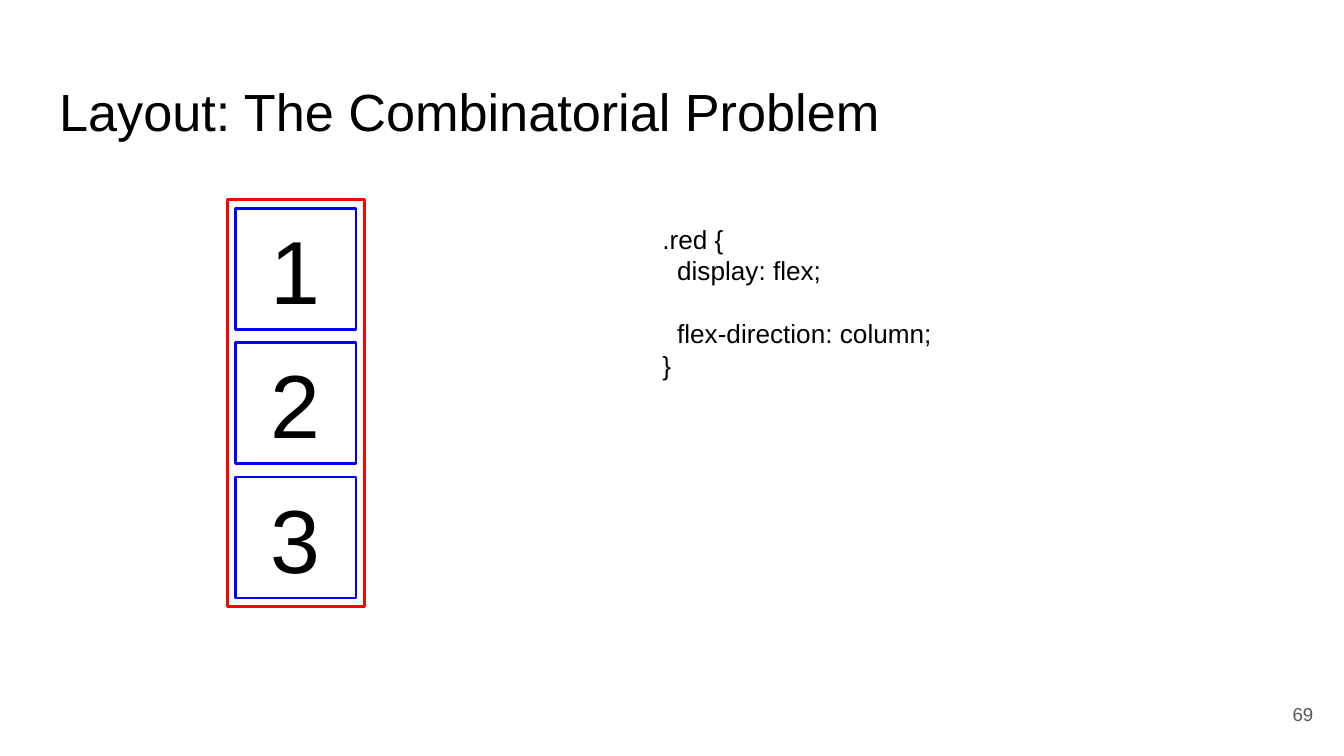
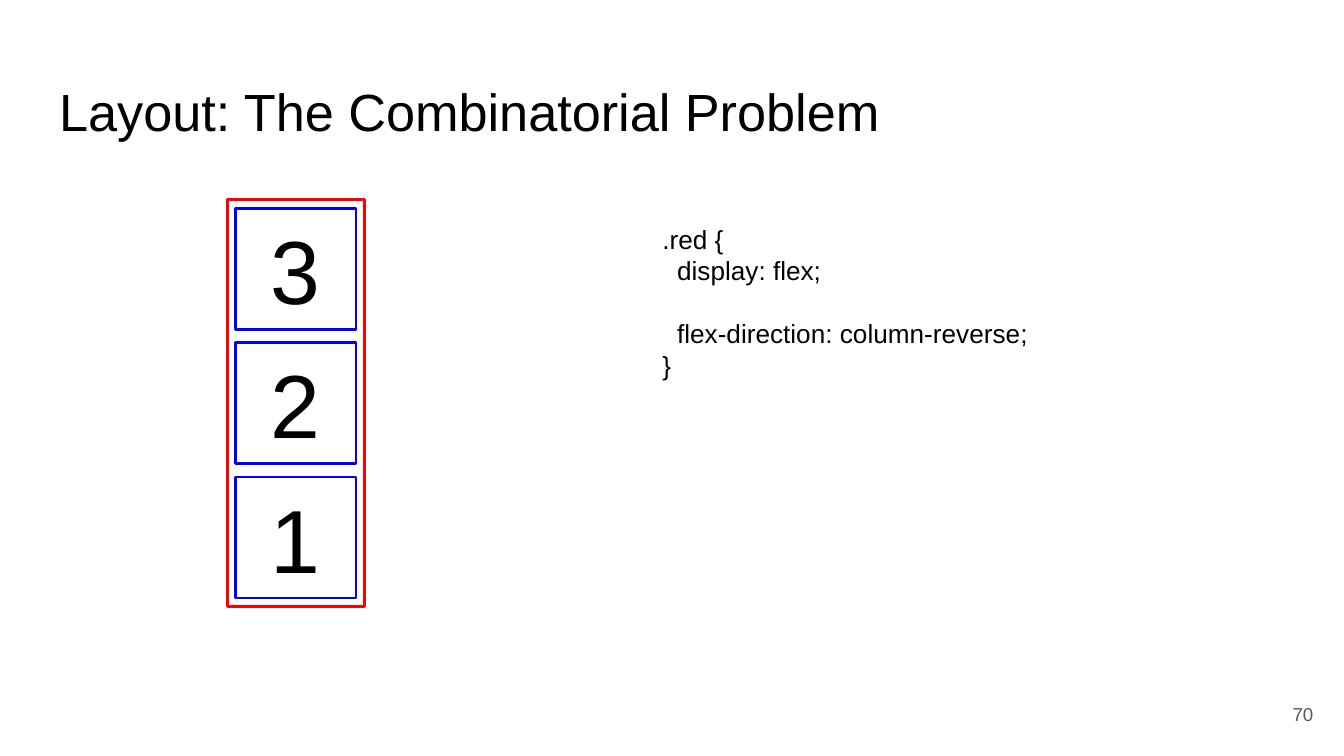
from pptx import Presentation
from pptx.dml.color import RGBColor
from pptx.enum.shapes import MSO_SHAPE
from pptx.enum.text import MSO_ANCHOR, MSO_AUTO_SIZE, PP_ALIGN
from pptx.util import Inches, Pt

RECTANGLE = MSO_SHAPE.RECTANGLE
TOP, MIDDLE = MSO_ANCHOR.TOP, MSO_ANCHOR.MIDDLE
LEFT, CENTER, RIGHT = PP_ALIGN.LEFT, PP_ALIGN.CENTER, PP_ALIGN.RIGHT
NO_AUTOFIT = MSO_AUTO_SIZE.NONE

FONT = "Arial"
COLORS = {"text": "000000", "number": "595959", "container": "FF0000", "item": "0000FF"}
TITLE = "Layout: The Combinatorial Problem"
TITLE_ONLY_LAYOUT = 5

# Flex items: a column of equal squares
ITEM_LEFT, ITEM_TOP, ITEM_SIZE, ITEM_PITCH = 1.75, 1.55, 0.9, 1.0

# Page number, flex direction, items from top to bottom
SLIDES = [
    (69, "column", "123"),
    (70, "column-reverse", "321"),
]


def rgb(name):
    return RGBColor.from_string(COLORS[name])


def style_text(shape, size, color="text", align=LEFT, anchor=TOP):
    frame = shape.text_frame
    frame.word_wrap = True
    frame.auto_size = NO_AUTOFIT
    frame.vertical_anchor = anchor
    frame.margin_left = frame.margin_right = Inches(0.1)
    frame.margin_top = frame.margin_bottom = Inches(0.1)
    for paragraph in frame.paragraphs:
        paragraph.alignment = align
        for run in paragraph.runs:
            run.font.name = FONT
            run.font.size = Pt(size)
            run.font.color.rgb = rgb(color)


def add_title(slide):
    title = slide.shapes.title
    title.left, title.top = Inches(0.34), Inches(0.49)
    title.width, title.height = Inches(9.32), Inches(0.63)
    title.text_frame.text = TITLE
    style_text(title, 28)


def add_page_number(slide, number):
    page = slide.shapes.add_textbox(Inches(9.27), Inches(5.1), Inches(0.6), Inches(0.43))
    page.text_frame.text = str(number)
    style_text(page, 10, "number", RIGHT, MIDDLE)


def add_css_rule(slide, direction):
    rule = slide.shapes.add_textbox(Inches(4.83), Inches(1.56), Inches(4.43), Inches(3.54))
    rule.text_frame.text = f".red {{\ndisplay: flex;\nflex-direction: {direction};\n}}"
    style_text(rule, 14)
    # Indent the declarations and leave one line between them
    declarations = rule.text_frame.paragraphs[1:3]
    for declaration in declarations:
        declaration._p.get_or_add_pPr().set("marL", str(Inches(0.11)))
    declarations[1].space_before = Pt(17)


def add_outline(slide, left, top, width, height, color):
    box = slide.shapes.add_shape(
        RECTANGLE, Inches(left), Inches(top), Inches(width), Inches(height))
    box.shadow.inherit = False
    box.fill.background()
    box.line.color.rgb = rgb(color)
    box.line.width = Pt(1.5)
    return box


def add_flex_column(slide, labels):
    # The container is a wide box turned upright
    container = add_outline(slide, 0.69, 2.49, 3.03, 1.02, "container")
    container.rotation = 90
    for row, label in enumerate(labels):
        item = add_outline(slide, ITEM_LEFT, ITEM_TOP + row * ITEM_PITCH,
                           ITEM_SIZE, ITEM_SIZE, "item")
        item.text_frame.text = label
        style_text(item, 48, align=CENTER, anchor=MIDDLE)


def main():
    prs = Presentation()
    # Widescreen, 16:9
    prs.slide_width = Inches(10)
    prs.slide_height = prs.slide_width * 9 // 16
    for number, direction, labels in SLIDES:
        slide = prs.slides.add_slide(prs.slide_layouts[TITLE_ONLY_LAYOUT])
        add_title(slide)
        add_page_number(slide, number)
        add_css_rule(slide, direction)
        add_flex_column(slide, labels)
    prs.save("out.pptx")


if __name__ == "__main__":
    main()
